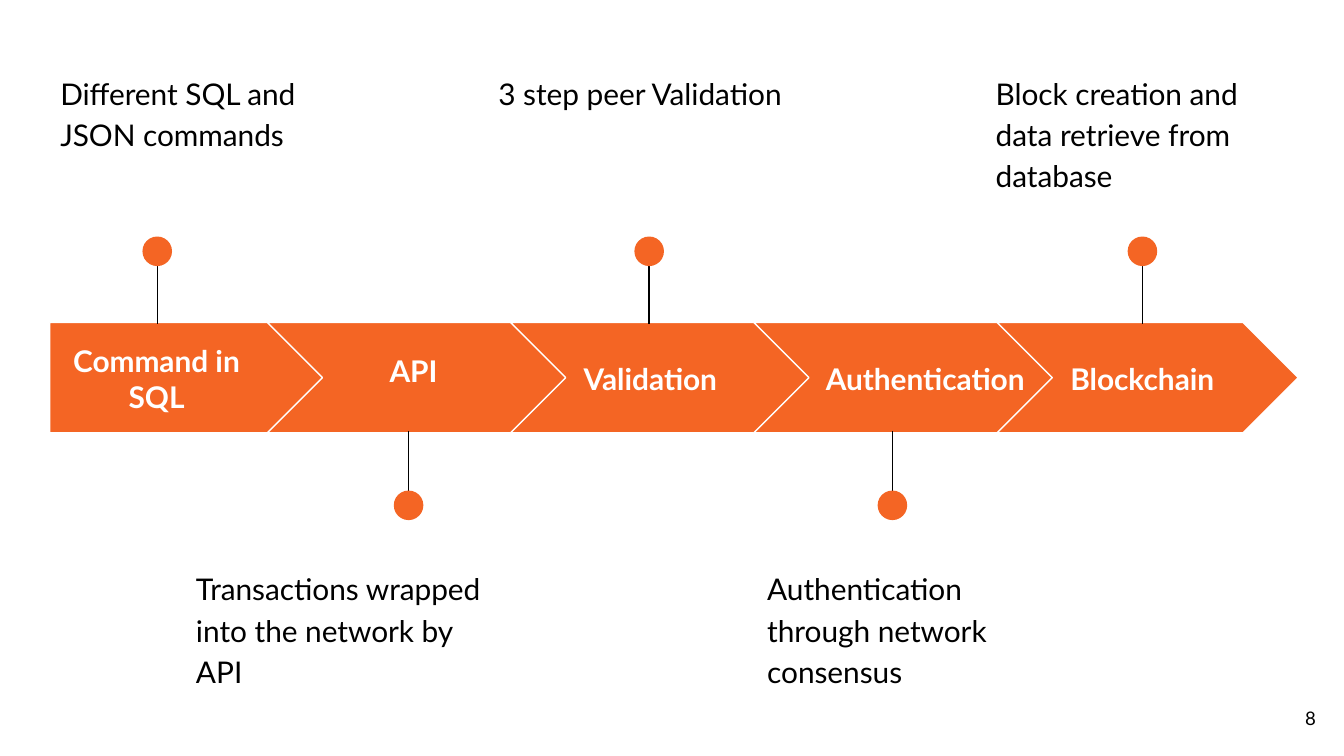
from dataclasses import dataclass

from lxml import etree
from pptx import Presentation
from pptx.dml.color import RGBColor
from pptx.enum.shapes import MSO_CONNECTOR, MSO_SHAPE
from pptx.enum.text import MSO_ANCHOR, PP_ALIGN
from pptx.oxml.ns import qn
from pptx.util import Inches, Pt

PENTAGON, CHEVRON, OVAL = MSO_SHAPE.PENTAGON, MSO_SHAPE.CHEVRON, MSO_SHAPE.OVAL
STRAIGHT = MSO_CONNECTOR.STRAIGHT
TOP, MIDDLE = MSO_ANCHOR.TOP, MSO_ANCHOR.MIDDLE
LEFT, CENTER, RIGHT = PP_ALIGN.LEFT, PP_ALIGN.CENTER, PP_ALIGN.RIGHT


@dataclass(frozen=True)
class Theme:
    font: str = "Lato"
    accent: RGBColor = RGBColor(0xF4, 0x65, 0x24)
    dark: RGBColor = RGBColor(0, 0, 0)
    light: RGBColor = RGBColor(0xFF, 0xFF, 0xFF)
    text_size: int = 16
    number_size: int = 10
    line_width: float = 0.75
    inset: float = 0.1


class SlideBuilder:
    def __init__(self, slide, theme):
        self.s = slide
        self.theme = theme

    def text(self, text, box, color, size, bold=False, anchor=TOP, **para):
        """Add a text box; para holds paragraph format values."""
        tf = self.s.shapes.add_textbox(*map(Inches, box)).text_frame
        frame = {"word_wrap": True, "vertical_anchor": anchor}
        for side in ("left", "top", "right", "bottom"):
            frame[f"margin_{side}"] = Inches(self.theme.inset)
        p = tf.paragraphs[0]
        r = p.add_run()
        r.text = text
        font = {"name": self.theme.font, "size": Pt(size), "bold": bold}
        for target, values in ((tf, frame), (p, para), (r.font, font)):
            for name, value in values.items():
                setattr(target, name, value)
        r.font.color.rgb = color

    def shape(self, kind, box, parent=None, outlined=False):
        """Add an accent-filled preset shape."""
        sp = (parent or self.s).shapes.add_shape(kind, *map(Inches, box))
        sp.shadow.inherit = False
        sp.fill.solid()
        sp.fill.fore_color.rgb = self.theme.accent
        if outlined:
            sp.line.color.rgb = self.theme.light
            sp.line.width = Pt(self.theme.line_width)
        else:
            sp.line.fill.background()
        return sp

    def pin(self, x, start, end, dot_top):
        """Add a grouped stem and dot, centred on x."""
        group = self.s.shapes.add_group_shape()
        ends = map(Inches, (x, start, x, end))
        stem = group.shapes.add_connector(STRAIGHT, *ends)
        stem.line.color.rgb = self.theme.dark
        stem.line.width = Pt(self.theme.line_width)
        etree.SubElement(stem._element.spPr, qn("a:effectLst"))
        self.shape(OVAL, (x - DOT / 2, dot_top, DOT, DOT), group)

    def step(self, kind, box, label, label_box, align):
        """Add one arrow of the process with its label."""
        self.shape(kind, box, outlined=True).adjustments[0] = 0.5
        self.text(label, label_box, self.theme.light, self.theme.text_size,
                  bold=True, anchor=MIDDLE, alignment=align)

    def note(self, text, left, top):
        """Add the explanation of a step."""
        self.text(text, (left, top, 2.45, 0.99), self.theme.dark,
                  self.theme.text_size, alignment=LEFT,
                  line_spacing=1.15, space_after=Pt(16))

    def number(self, text):
        """Add the slide number."""
        self.text(text, (9.29, 5.13, 0.6, 0.43), self.theme.dark,
                  self.theme.number_size, anchor=MIDDLE, alignment=RIGHT)


# Process geometry, in inches
SLIDE_W = 10
ARROW_TOP, ARROW_H, ARROW_W = 2.4, 0.82, 2.24
FIRST_CHEVRON, PITCH = 1.99, 1.81
LABEL_TOP = 2.56
DOT = 0.22
ABOVE = {"pin": (1.8, 2.41, 1.76), "note_top": 0.42}
BELOW = {"pin": (3.82, 3.21, 3.65), "note_top": 4.11}

# Label, its left, width, height and alignment, pin x, note, note left
STEPS = [
    ("Command in SQL", 0.37, 1.59, 0.51, CENTER, 1.17,
     "Different SQL and JSON commands", 0.35),
    ("API", 2.8, 1.15, 0.39, LEFT, 3.04,
     "Transactions wrapped into the network by API", 1.36),
    ("Validation", 4.12, 1.44, 0.51, CENTER, 4.83,
     "3 step peer Validation", 3.61),
    ("Authentication", 5.92, 1.93, 0.51, CENTER, 6.64,
     "Authentication through network consensus", 5.61),
    ("Blockchain", 7.78, 1.44, 0.51, CENTER, 8.5,
     "Block creation and data retrieve from database", 7.31),
]


def main():
    prs = Presentation()
    # 16:9 page
    prs.slide_width = Inches(SLIDE_W)
    prs.slide_height = Inches(SLIDE_W * 9 / 16)
    b = SlideBuilder(prs.slides.add_slide(prs.slide_layouts[6]), Theme())

    # Process steps, with notes alternating above and below
    for i, (label, left, width, height, align, x, note, note_left) in enumerate(STEPS):
        if i == 0:
            kind, box = PENTAGON, (0.37, ARROW_TOP, 2.05, ARROW_H)
        else:
            kind = CHEVRON
            box = (FIRST_CHEVRON + (i - 1) * PITCH, ARROW_TOP, ARROW_W, ARROW_H)
        side = BELOW if i % 2 else ABOVE
        b.step(kind, box, label, (left, LABEL_TOP, width, height), align)
        b.pin(x, *side["pin"])
        b.note(note, note_left, side["note_top"])

    b.number("8")
    prs.save("out.pptx")


if __name__ == "__main__":
    main()
